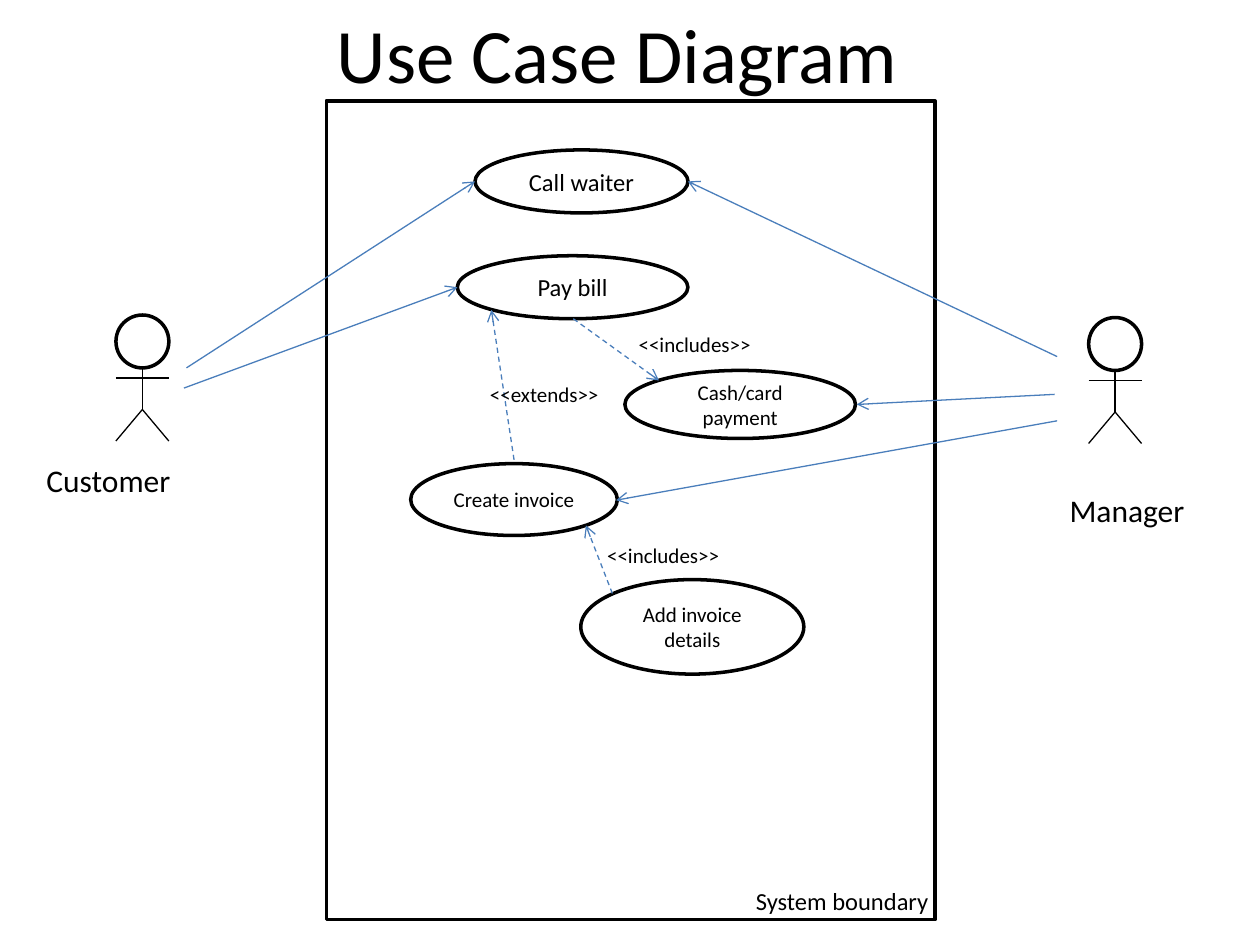
from pptx import Presentation
from pptx.util import Inches, Pt
from pptx.dml.color import RGBColor
from pptx.enum.dml import MSO_LINE
from pptx.enum.shapes import MSO_CONNECTOR, MSO_SHAPE
from pptx.enum.text import MSO_ANCHOR, PP_ALIGN
from lxml import etree

COLORS = {"ink": "000000", "paper": "FFFFFF", "link": "4A7EBB"}
COLORS = {name: RGBColor.from_string(value) for name, value in COLORS.items()}
NS = "{http://schemas.openxmlformats.org/drawingml/2006/main}"

prs = Presentation()
prs.slide_width, prs.slide_height = Inches(10), Inches(7.5)
s = prs.slides.add_slide(prs.slide_layouts[6])


def add_box(kind, x, y, w, h, text="", size=12, align=PP_ALIGN.CENTER, wrap=True):
    """Add an outlined shape, or a plain text box when kind is None."""
    box = [Inches(v) for v in (x, y, w, h)]
    if kind is None:
        sp = s.shapes.add_textbox(*box)
    else:
        sp = s.shapes.add_shape(kind, *box)
        sp.shadow.inherit = False
        sp.fill.solid()
        sp.fill.fore_color.rgb = COLORS["paper"]
        sp.line.color.rgb = COLORS["ink"]
        sp.line.width = Pt(2)
    if text:
        tf = sp.text_frame
        tf.word_wrap = wrap
        tf.vertical_anchor = MSO_ANCHOR.TOP if kind is None else MSO_ANCHOR.MIDDLE
        p = tf.paragraphs[0]
        p.alignment = align
        r = p.add_run()
        r.text = text
        for name, value in {"name": "Calibri", "size": Pt(size)}.items():
            setattr(r.font, name, value)
        r.font.color.rgb = COLORS["ink"]
    return sp


def add_line(x1, y1, x2, y2, color="ink", dashed=False, arrow=False):
    line = s.shapes.add_connector(
        MSO_CONNECTOR.STRAIGHT, *[Inches(v) for v in (x1, y1, x2, y2)])
    line.line.color.rgb = COLORS[color]
    line.line.width = Pt(0.75)
    if dashed:
        line.line.dash_style = MSO_LINE.DASH
    if arrow:
        ln = line.line._get_or_add_ln()
        etree.SubElement(ln, NS + "tailEnd", type="arrow")
    etree.SubElement(line._element.spPr, NS + "effectLst")


# Title
title = add_box(None, 0.4, 0, 9, 0.83, "Use Case Diagram", 44)
title.text_frame.vertical_anchor = MSO_ANCHOR.MIDDLE

# System boundary
add_box(MSO_SHAPE.RECTANGLE, 2.59, 0.8, 4.83, 6.5)

# Actors: head, body, arms and legs
for x, y in [(0.92, 2.5), (8.64, 2.52)]:
    mid, right, hip = x + 0.21, x + 0.42, y + 0.75
    add_box(MSO_SHAPE.OVAL, x, y, 0.42, 0.42)
    add_line(mid, y + 0.42, mid, hip)
    add_line(x, y + 0.5, right, y + 0.5)
    for foot in (x, right):
        add_line(mid, hip, foot, y + 1)

# Use cases
for x, y, w, h, text, size in [
    (3.77, 1.19, 1.69, 0.5, "Call waiter", 14),
    (3.63, 2.03, 1.83, 0.5, "Pay bill", 14),
    (4.96, 2.94, 1.83, 0.54, "Cash/card payment", 12),
    (3.26, 3.68, 1.64, 0.57, "Create invoice", 12),
    (4.61, 4.6, 1.77, 0.75, "Add invoice details", 12),
]:
    add_box(MSO_SHAPE.FLOWCHART_CONNECTOR, x, y, w, h, text, size)

# Associations between actors and use cases
for ends in [
    (1.48, 2.92, 3.77, 1.44),
    (1.46, 3.08, 3.63, 2.28),
    (8.39, 2.83, 5.46, 1.44),
    (8.37, 3.13, 6.8, 3.21),
    (8.39, 3.34, 4.89, 3.97),
]:
    add_line(*ends, color="link", arrow=True)

# Include and extend dependencies
for ends in [
    (4.55, 2.53, 5.23, 3.02),
    (4.08, 3.65, 3.9, 2.46),
    (4.86, 4.71, 4.65, 4.17),
]:
    add_line(*ends, color="link", dashed=True, arrow=True)

# Labels
for x, y, w, h, text, size, wrap in [
    (0.27, 3.61, 1.19, 0.4, "Customer", 18, False),
    (8.39, 3.85, 1.11, 0.4, "Manager", 18, False),
    (5.9, 6.98, 1.58, 0.34, "System boundary", 14, False),
    (4.97, 2.58, 1.09, 0.3, "<<includes>>", 12, False),
    (3.79, 2.98, 1.18, 0.3, "<<extends>>", 12, True),
    (4.72, 4.26, 1.18, 0.3, "<<includes>>", 12, True),
]:
    add_box(None, x, y, w, h, text, size, PP_ALIGN.LEFT, wrap)

prs.save("out.pptx")
